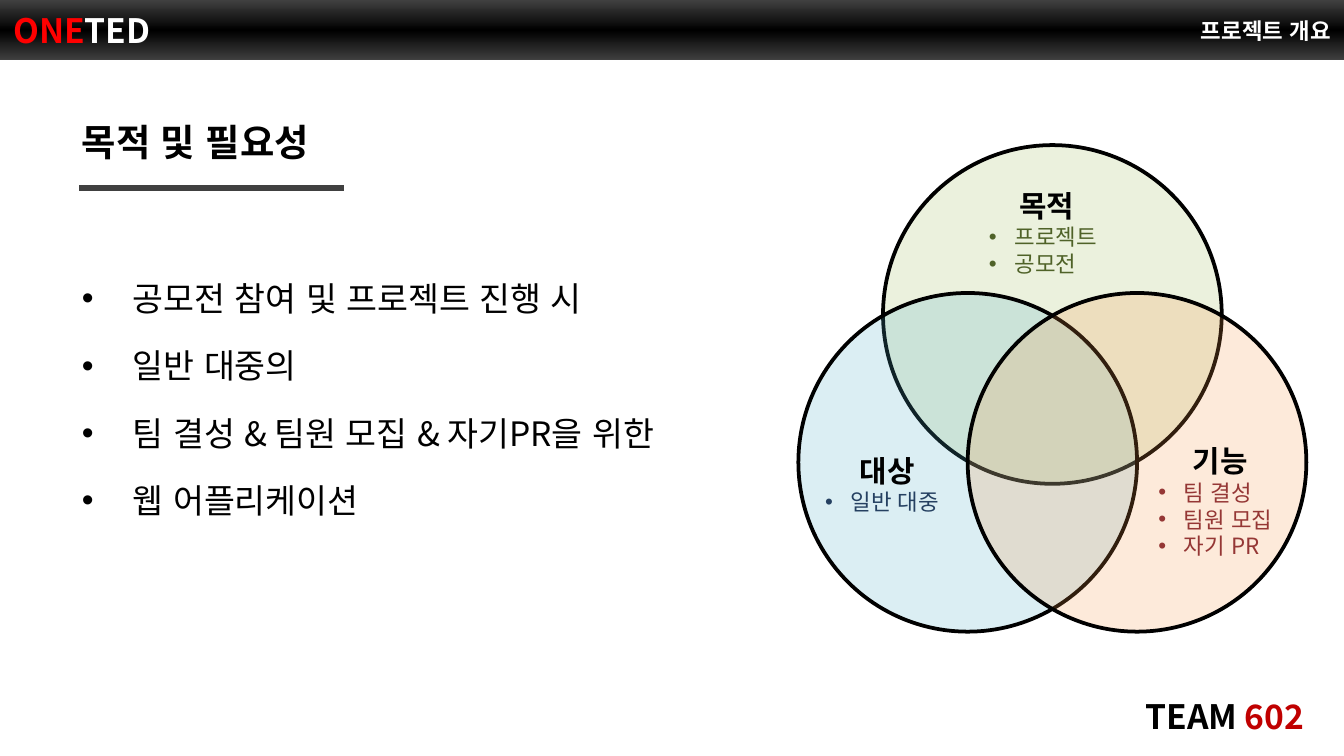
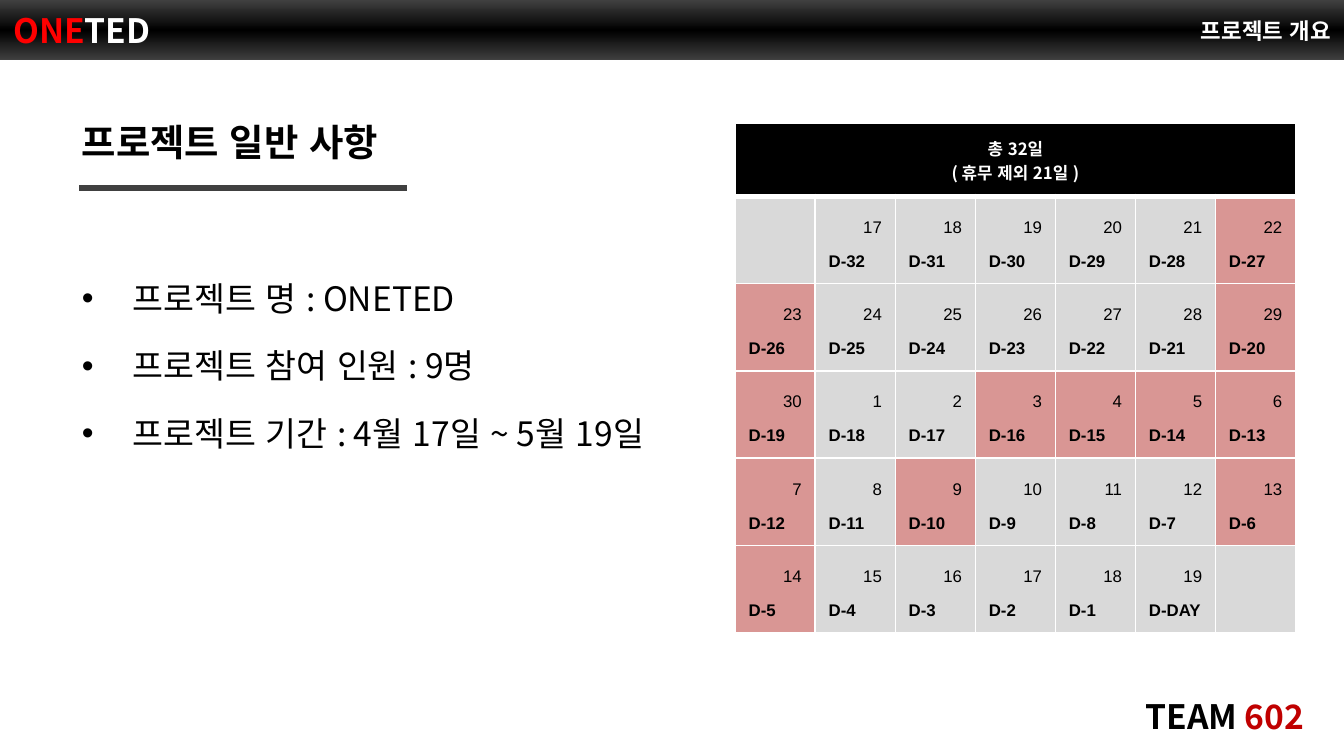
"""Builds the two project overview slides."""
from copy import deepcopy
from dataclasses import dataclass

from lxml import etree
from pptx import Presentation
from pptx.dml.color import RGBColor
from pptx.enum.lang import MSO_LANGUAGE_ID
from pptx.enum.shapes import MSO_CONNECTOR, MSO_SHAPE
from pptx.enum.text import MSO_ANCHOR, MSO_AUTO_SIZE, PP_ALIGN
from pptx.oxml.ns import qn
from pptx.util import Inches, Pt

LEFT, CENTER, RIGHT = PP_ALIGN.LEFT, PP_ALIGN.CENTER, PP_ALIGN.RIGHT
TOP, MIDDLE = MSO_ANCHOR.TOP, MSO_ANCHOR.MIDDLE
RECTANGLE, OVAL = MSO_SHAPE.RECTANGLE, MSO_SHAPE.OVAL
STRAIGHT = MSO_CONNECTOR.STRAIGHT
FIT_SHAPE = MSO_AUTO_SIZE.SHAPE_TO_FIT_TEXT
KOREAN_LANGUAGE = MSO_LANGUAGE_ID.KOREAN

KOREAN, LATIN = "Noto Sans CJK KR", "Arial"
BLACK, WHITE, CHARCOAL = "000000", "FFFFFF", "404040"
RED, DARK_RED = "FF0000", "C00000"
WORKDAY, DAY_OFF = "D9D9D9", "D99694"
CIRCLE_SIZE = 2.52
WEEK_DAYS, WEEKS = 7, 5
DATES = [*range(17, 31), *range(1, 20)]
HOLIDAY_COUNTDOWNS = {16, 15, 14, 10}


@dataclass
class Span:
    """A run of text with one look."""
    text: str
    size: float
    color: str = BLACK
    bold: bool = False
    font: str = KOREAN


@dataclass
class Para:
    """A paragraph with its layout."""
    spans: list[Span]
    align: PP_ALIGN = LEFT
    spacing: float | None = None
    before: float = 0
    indent: float = 0


@dataclass
class Circle:
    """A labelled circle of the diagram."""
    left: float
    top: float
    fill: str
    label_box: tuple[float, float, float, float]
    label: str
    item_color: str
    items: list[str]


@dataclass
class Topic:
    """The heading and bullets of a page."""
    heading: str
    rule_end: float
    bullets_height: float
    bullets: list[str]


CIRCLES = [
    Circle(6.57, 1.08, "9BBB59", (7.26, 1.08, 1.06, 1.04), "목적", "4F6228",
           ["프로젝트", "공모전"]),
    Circle(5.94, 2.18, "4BACC6", (6.04, 3.05, 1.12, 0.84), "대상", "254061",
           ["일반 대중"]),
    Circle(7.2, 2.18, "F79646", (8.52, 2.98, 1.12, 1.25), "기능", "953735",
           ["팀 결성", "팀원 모집", "자기 PR"]),
]
PURPOSE = Topic("목적 및 필요성", 2.56, 3.07, [
    "공모전 참여 및 프로젝트 진행 시", "일반 대중의",
    "팀 결성 & 팀원 모집 & 자기PR을 위한", "웹 어플리케이션"])
GENERAL = Topic("프로젝트 일반 사항", 3.03, 2.76, [
    "프로젝트 명 : ONETED", "프로젝트 참여 인원 : 9명",
    "프로젝트 기간 : 4월 17일 ~ 5월 19일"])


def rgb(color: str) -> RGBColor:
    """Turn a hex string into a colour."""
    return RGBColor.from_string(color)


def write(frame, paras: list[Para]) -> None:
    """Write paragraphs into a text frame."""
    for index, item in enumerate(paras):
        para = frame.paragraphs[0] if index == 0 else frame.add_paragraph()
        para.alignment = item.align
        if item.spacing:
            para.line_spacing = item.spacing
        if index and item.before:
            para.space_before = Pt(item.before)
        if item.indent:
            properties = para._p.get_or_add_pPr()
            properties.set("marL", str(Inches(item.indent)))
            properties.set("indent", str(-Inches(item.indent)))
            etree.SubElement(properties, qn("a:buFont")).set("typeface", LATIN)
            etree.SubElement(properties, qn("a:buChar")).set("char", "•")
        for span in item.spans:
            run = para.add_run()
            run.text = span.text
            run.font.size = Pt(span.size)
            run.font.bold = span.bold
            run.font.name = span.font
            run.font.language_id = KOREAN_LANGUAGE
            run.font.color.rgb = rgb(span.color)
            east_asian = etree.SubElement(run._r.get_or_add_rPr(), qn("a:ea"))
            east_asian.set("typeface", span.font)


def add_text(shapes, area: tuple[float, float, float, float],
             paras: list[Para], anchor: MSO_ANCHOR = TOP, wrap: bool = True) -> None:
    """Add a text box; one that does not wrap fits its text."""
    box = shapes.add_textbox(*map(Inches, area))
    frame = box.text_frame
    frame.word_wrap = wrap
    if not wrap:
        frame.auto_size = FIT_SHAPE
    frame.vertical_anchor = anchor
    write(frame, paras)


def add_band(page) -> None:
    """Add the gradient band with the project name."""
    band = page.shapes.add_shape(RECTANGLE, 0, 0, Inches(10), Inches(0.45))
    band.shadow.inherit = False
    band.line.fill.background()
    band.fill.gradient()
    band.fill.gradient_angle = 90
    stops = band._element.spPr.find(qn("a:gradFill")).find(qn("a:gsLst"))
    stops.append(deepcopy(stops[-1]))
    looks = zip(band.fill.gradient_stops, (0, 0.5, 1), (CHARCOAL, BLACK, CHARCOAL))
    for stop, position, color in looks:
        stop.position = position
        stop.color.rgb = rgb(color)
    band.text_frame.vertical_anchor = MIDDLE
    write(band.text_frame, [Para([Span("ONE", 18, RED, True),
                                  Span("TED", 18, WHITE, True)])])


def add_page(deck, topic: Topic):
    """Add a page with the shared parts and its topic."""
    page = deck.slides.add_slide(deck.slide_layouts[6])
    add_text(page.shapes, (8.23, 5.02, 1.77, 0.61),
             [Para([Span("TEAM ", 18, BLACK, True),
                    Span("602", 18, DARK_RED, True)], CENTER)], MIDDLE)
    add_band(page)
    add_text(page.shapes, (0.51, 0.84, 8.99, 1.26),
             [Para([Span(topic.heading, 20, BLACK, True)])])
    add_text(page.shapes, (5.87, 0, 4.13, 0.45),
             [Para([Span("프로젝트 개요", 12, WHITE, True)], RIGHT)], MIDDLE)
    add_text(page.shapes, (0.51, 1.87, 8.99, topic.bullets_height),
             [Para([Span(text, 18)], spacing=1.5, before=3.6, indent=0.38)
              for text in topic.bullets])
    rule = page.shapes.add_connector(STRAIGHT, Inches(0.59), Inches(1.4),
                                     Inches(topic.rule_end), Inches(1.4))
    rule.line.color.rgb = rgb(CHARCOAL)
    rule.line.width = Pt(3)
    etree.SubElement(rule._element.spPr, qn("a:effectLst"))
    return page


def add_diagram(page) -> None:
    """Add the three overlapping circles and their labels."""
    group = page.shapes.add_group_shape()
    for circle in CIRCLES:
        oval = group.shapes.add_shape(OVAL, Inches(circle.left), Inches(circle.top),
                                      Inches(CIRCLE_SIZE), Inches(CIRCLE_SIZE))
        oval.shadow.inherit = False
        oval.fill.solid()
        oval.fill.fore_color.rgb = rgb(circle.fill)
        color = oval._element.spPr.find(qn("a:solidFill")).find(qn("a:srgbClr"))
        etree.SubElement(color, qn("a:alpha")).set("val", "20000")
        oval.line.color.rgb = rgb(BLACK)
        oval.line.width = Pt(2)
    for circle in CIRCLES:
        label = Para([Span(circle.label, 16, BLACK, True)], CENTER, 2)
        items = [Para([Span(text, 12, circle.item_color)], indent=0.19)
                 for text in circle.items]
        add_text(group.shapes, circle.label_box, [label, *items], wrap=False)


def style_cell(cell, fill: str, top: float = 1, bottom: float = 1) -> None:
    """Give a cell white borders and a fill."""
    properties = cell._tc.get_or_add_tcPr()
    for side, width in zip("LRTB", (1, 1, top, bottom)):
        border = etree.SubElement(properties, qn(f"a:ln{side}"))
        border.set("w", str(Pt(width)))
        paint = etree.SubElement(border, qn("a:solidFill"))
        etree.SubElement(paint, qn("a:srgbClr")).set("val", WHITE)
    cell.fill.solid()
    cell.fill.fore_color.rgb = rgb(fill)


def add_calendar(page) -> None:
    """Add the countdown calendar."""
    frame = page.shapes.add_table(WEEKS + 1, WEEK_DAYS, Inches(5.47), Inches(0.92),
                                  Inches(4.17), Inches(3.78))
    table = frame.table
    for column in table.columns:
        column.width = Inches(4.17 / WEEK_DAYS)
    for index, row in enumerate(table.rows):
        row.height = Inches(0.65 if index else 0.54)
    for column in range(WEEK_DAYS):
        style_cell(table.cell(0, column), BLACK, bottom=3)
    header = table.cell(0, 0)
    header.merge(table.cell(0, WEEK_DAYS - 1))
    header.vertical_anchor = MIDDLE
    write(header.text_frame, [Para([Span(text, 9, WHITE, True)], CENTER)
                              for text in ("총 32일", "( 휴무 제외 21일 )")])
    for slot in range(WEEKS * WEEK_DAYS):
        week, weekday = divmod(slot, WEEK_DAYS)
        cell = table.cell(week + 1, weekday)
        dated = 1 <= slot <= len(DATES)
        countdown = len(DATES) - slot
        weekend = weekday in (0, WEEK_DAYS - 1)
        is_off = dated and (weekend or countdown in HOLIDAY_COUNTDOWNS)
        style_cell(cell, DAY_OFF if is_off else WORKDAY, top=1 if week else 3)
        if dated:
            date = Span(str(DATES[slot - 1]), 9, font=LATIN)
            mark = Span(f"D-{countdown or 'DAY'}", 9, bold=True, font=LATIN)
            write(cell.text_frame, [Para([date], RIGHT, 1.8), Para([mark], LEFT, 1.8)])


def main() -> None:
    """Build and save the deck."""
    deck = Presentation()
    deck.slide_width = Inches(10)
    deck.slide_height = deck.slide_width * 9 // 16
    add_diagram(add_page(deck, PURPOSE))
    add_calendar(add_page(deck, GENERAL))
    deck.save("out.pptx")


if __name__ == "__main__":
    main()
